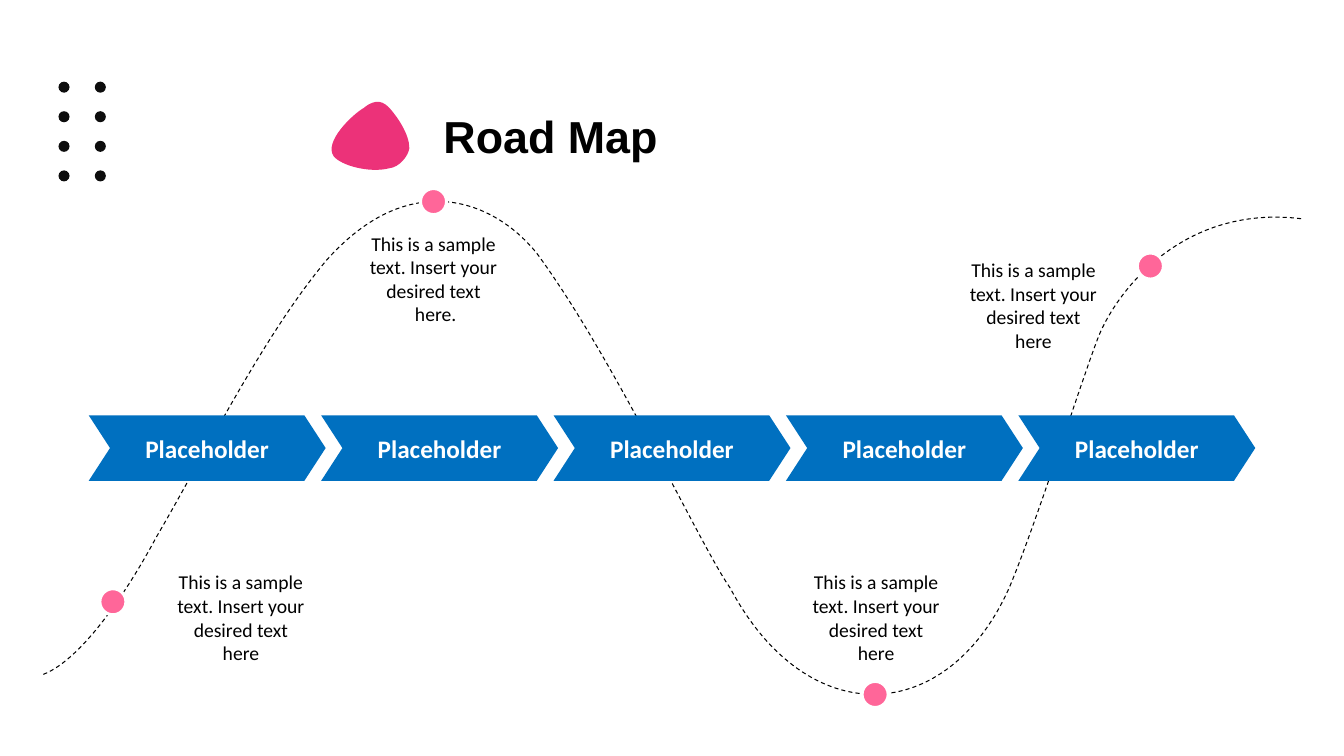
from lxml.etree import SubElement
from pptx import Presentation
from pptx.dml.color import RGBColor
from pptx.enum.dml import MSO_LINE
from pptx.enum.shapes import MSO_SHAPE
from pptx.enum.text import MSO_ANCHOR, PP_ALIGN
from pptx.oxml.ns import qn
from pptx.util import Emu, Pt

PX = 9144  # 100 px to the inch


def style(shape, fill=None, line=None, weight=0):
    """Set fill and outline from hex colours; None means no paint."""
    shape.shadow.inherit = False
    if fill:
        shape.fill.solid()
        shape.fill.fore_color.rgb = RGBColor.from_string(fill)
    else:
        shape.fill.background()
    if line:
        shape.line.color.rgb = RGBColor.from_string(line)
        shape.line.width = Pt(weight)
    else:
        shape.line.fill.background()


def write(shape, text, size, font, color, bold=False, align=PP_ALIGN.CENTER):
    shape.text_frame.text = text
    for para in shape.text_frame.paragraphs:
        para.alignment = align
        for span in para.runs:
            span.font.size = Pt(size)
            span.font.name = font
            span.font.bold = bold
            span.font.color.rgb = RGBColor.from_string(color)


deck = Presentation()
deck.slide_width, deck.slide_height = Emu(1333 * PX), Emu(750 * PX)
page = deck.slides.add_slide(deck.slide_layouts[6])

# Each curve: a start point, then Bézier pieces of two handles and an end point
road = [
    (43, 669),
    (84, 653), (131, 578), (155, 533),
    (203, 451), (261, 333), (324, 258),
    (407, 165), (491, 199), (533, 252),
    (610, 357), (695, 542), (724, 583),
    (801, 728), (940, 720), (1001, 583),
    (1026, 524), (1072, 380), (1088, 338),
    (1103, 296), (1168, 202), (1291, 217),
]
pebble = [
    (331, 155),
    (321, 141), (349, 114), (361, 107),
    (373, 97), (381, 101), (387, 108),
    (394, 116), (406, 133), (406, 147),
    (405, 155), (396, 166), (386, 167),
    (366, 172), (338, 164), (331, 155),
]
curves = []
for knots, (left, top, width, height), closed in [
    (road, (43, 199, 1248, 489), False),
    (pebble, (329, 101, 77, 68), True),
]:
    # The diagonal gives the shape its box; the Bézier pieces then replace it
    diagonal = page.shapes.build_freeform(left, top, scale=PX)
    diagonal.add_line_segments([(left + width, top + height)], close=False)
    curve = diagonal.convert_to_shape()
    outline = curve._element.find(".//" + qn("a:path"))
    outline.set("w", str(width * PX))
    outline.set("h", str(height * PX))
    for segment in list(outline):
        outline.remove(segment)
    pieces = [("a:moveTo", knots[:1])]
    pieces += [("a:cubicBezTo", knots[i:i + 3]) for i in range(1, len(knots), 3)]
    for tag, points in pieces:
        segment = SubElement(outline, qn(tag))
        for x, y in points:
            SubElement(segment, qn("a:pt"), x=str((x - left) * PX), y=str((y - top) * PX))
    if closed:
        SubElement(outline, qn("a:close"))
    curves.append(curve)

road_line, title_pebble = curves
style(road_line, line="000000", weight=0.75)
road_line.line.dash_style = MSO_LINE.DASH
style(title_pebble, fill="EC3279")

title = page.shapes.add_textbox(430 * PX, 103 * PX, 234 * PX, 64 * PX)
title.text_frame.word_wrap = False
write(title, "Road Map", 32, "Arial", "000000", bold=True, align=PP_ALIGN.LEFT)

for row in range(4):
    for column in range(2):
        dot = page.shapes.add_shape(
            MSO_SHAPE.OVAL, (58 + 36 * column) * PX, 81 * PX + row * 88 * PX // 3, 11 * PX, 11 * PX)
        style(dot, fill="0D0D0D")

for stage in range(5):
    chevron = page.shapes.add_shape(
        MSO_SHAPE.CHEVRON, 88 * PX + stage * 461 * PX // 2, 412 * PX, 235 * PX, 65 * PX)
    chevron.adjustments[0] = 0.325
    style(chevron, fill="0070C0")
    write(chevron, "Placeholder", 18, "Calibri", "FFFFFF", bold=True)
    chevron.text_frame.word_wrap = False
    chevron.text_frame.vertical_anchor = MSO_ANCHOR.MIDDLE

for left, top in [(99, 584), (417, 187), (855, 676), (1128, 251)]:
    milestone = page.shapes.add_shape(MSO_SHAPE.OVAL, left * PX, top * PX, 26 * PX, 26 * PX)
    style(milestone, fill="FF6699", line="FFFFFF", weight=2.25)

sample = "This is a sample text. Insert your desired text"
for left, top, width, ending in [
    (949, 251, 152, " here"),
    (343, 225, 174, "\n here."),
    (163, 561, 152, " here"),
    (793, 561, 152, " here"),
]:
    note = page.shapes.add_textbox(left * PX, top * PX, width * PX, 104 * PX)
    note.text_frame.word_wrap = True
    write(note, sample + ending, 14, "Calibri", "000000")

deck.save("out.pptx")
